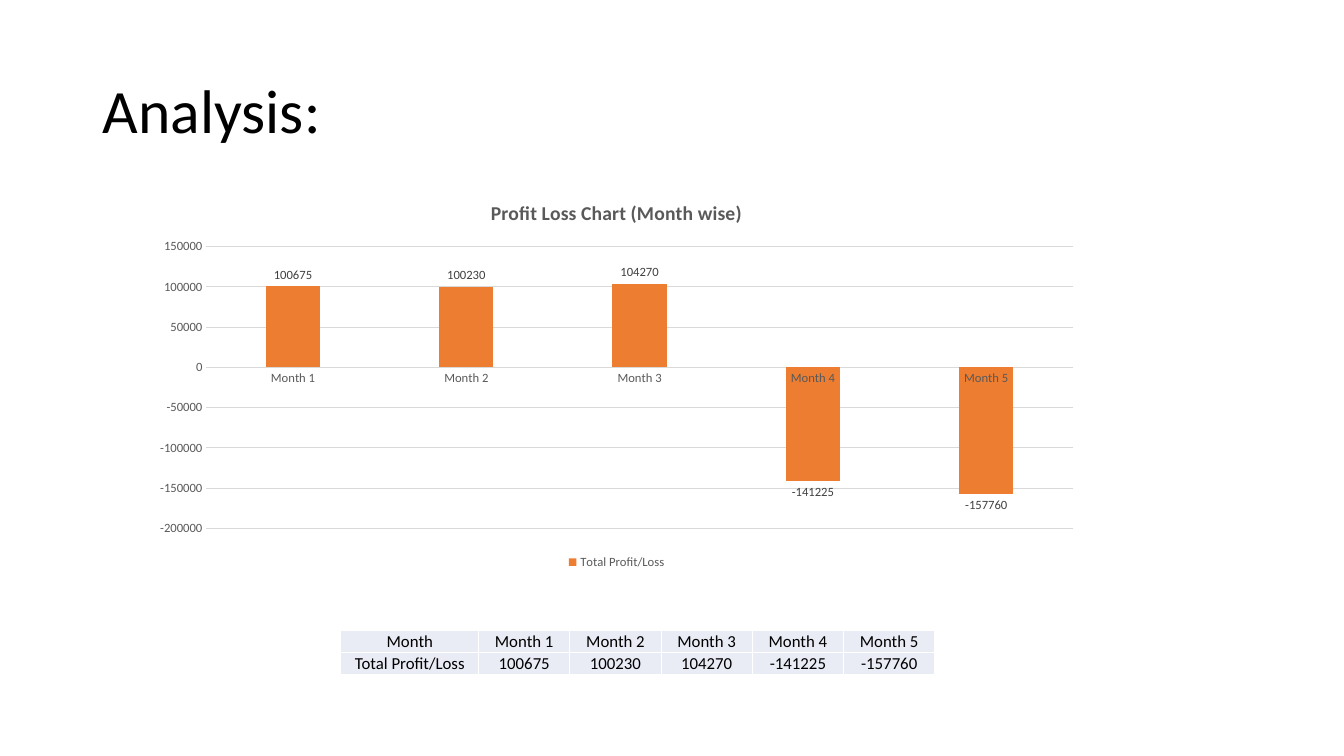
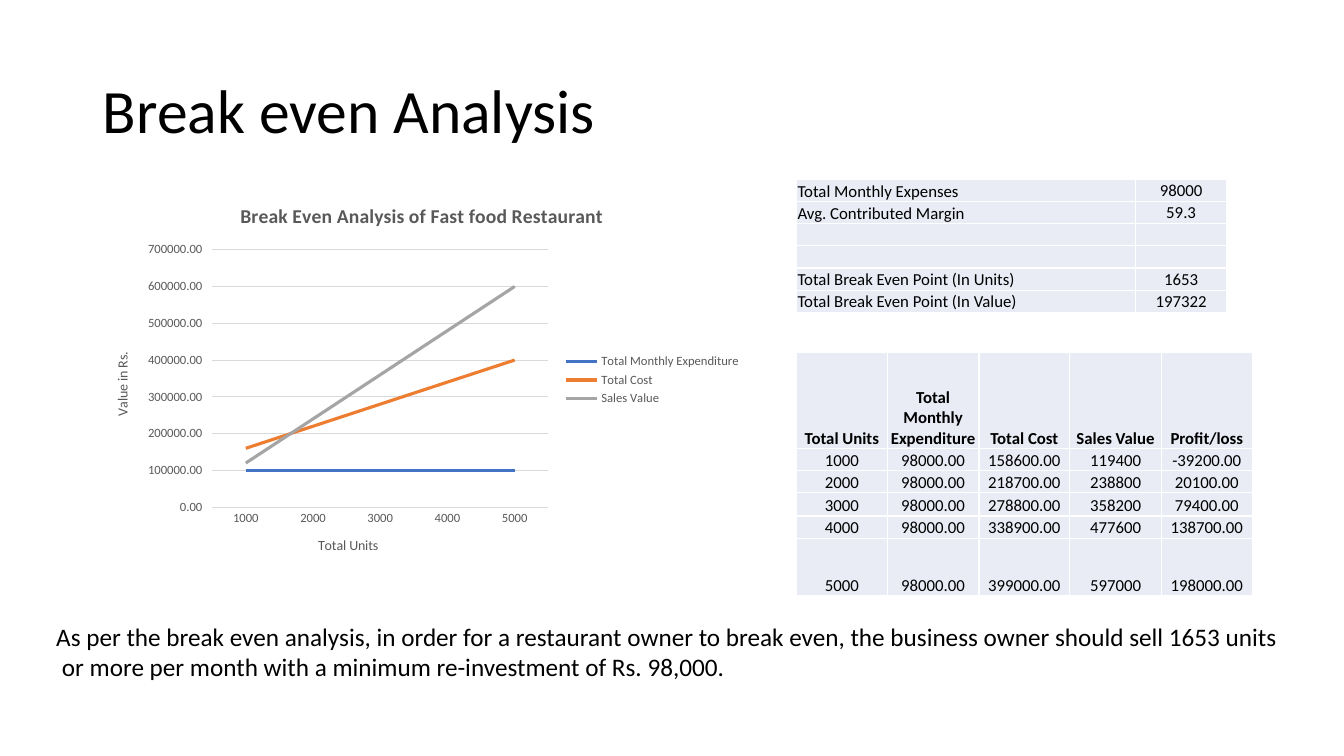
from dataclasses import dataclass, field
from typing import Any, NamedTuple

from lxml.etree import SubElement
from pptx import Presentation
from pptx.chart.data import CategoryChartData
from pptx.dml.color import RGBColor
from pptx.enum.chart import XL_CHART_TYPE, XL_LABEL_POSITION, XL_LEGEND_POSITION, XL_TICK_MARK
from pptx.enum.text import MSO_ANCHOR, MSO_AUTO_SIZE, PP_ALIGN
from pptx.oxml.ns import qn
from pptx.util import Emu, Pt

EMU_PER_PX = 9144


@dataclass(frozen=True)
class Theme:
    font: str = "Calibri"
    ink: str = "000000"
    muted: str = "595959"
    label: str = "404040"
    grid: str = "D9D9D9"
    cell: str = "E9EBF5"
    border: str = "FFFFFF"
    blue: str = "4472C4"
    orange: str = "ED7D31"
    gray: str = "A5A5A5"
    title_size: int = 44
    body_size: int = 18
    chart_title_size: int = 14
    table_size: int = 12
    axis_title_size: int = 10
    chart_size: int = 9


THEME = Theme()


class Box(NamedTuple):
    left: int
    top: int
    width: int
    height: int

    def emu(self) -> list[Emu]:
        return [px(length) for length in self]


class Series(NamedTuple):
    name: str
    values: list[float]
    color: str


@dataclass(frozen=True)
class ChartBlock:
    kind: XL_CHART_TYPE
    box: Box
    title: str
    categories: list[str]
    series: list[Series]
    legend: XL_LEGEND_POSITION
    scale: dict[str, int]
    number_format: str = "General"
    axis_titles: tuple[str, str] | None = None


@dataclass(frozen=True)
class TableBlock:
    left: int
    top: int
    columns: list[int]
    heights: list[int]
    rows: list[list[str]]
    bold_header: bool = False
    column_formats: dict[int, tuple[PP_ALIGN, MSO_ANCHOR]] = field(default_factory=dict)


def px(length: int) -> Emu:
    return Emu(length * EMU_PER_PX)


def spread(total: int, count: int) -> list[int]:
    edges = [round(total * index / count) for index in range(count + 1)]
    return [end - start for start, end in zip(edges, edges[1:])]


def apply(target: Any, values: dict[str, Any]) -> None:
    for name, value in values.items():
        setattr(target, name, value)


def style_font(font: Any, size: int, color: str, bold: bool = False) -> None:
    apply(font, {"name": THEME.font, "size": Pt(size), "bold": bold})
    font.color.rgb = RGBColor.from_string(color)


def paint(fill: Any, color: str) -> None:
    fill.solid()
    fill.fore_color.rgb = RGBColor.from_string(color)


def stroke(line: Any, color: str, width: float) -> None:
    paint(line.fill, color)
    line.width = Pt(width)


def add_title_page(deck: Any, title: str) -> Any:
    page = deck.slides.add_slide(deck.slide_layouts[5])
    shape = page.shapes.title
    apply(shape, dict(zip(("left", "top", "width", "height"), Box(92, 40, 1150, 145).emu())))
    frame = shape.text_frame
    frame.text = title
    apply(frame, {"vertical_anchor": MSO_ANCHOR.MIDDLE, "word_wrap": True, "auto_size": MSO_AUTO_SIZE.NONE})
    para = frame.paragraphs[0]
    apply(para, {"alignment": PP_ALIGN.LEFT, "line_spacing": 0.9})
    style_font(para.runs[0].font, THEME.title_size, THEME.ink)
    return page


def add_note(page: Any, box: Box, lines: list[str]) -> None:
    frame = page.shapes.add_textbox(*box.emu()).text_frame
    apply(frame, {"word_wrap": False, "auto_size": MSO_AUTO_SIZE.SHAPE_TO_FIT_TEXT})
    for index, line in enumerate(lines):
        para = frame.add_paragraph() if index else frame.paragraphs[0]
        span = para.add_run()
        span.text = line
        style_font(span.font, THEME.body_size, THEME.ink)


def add_cell_borders(cell: Any) -> None:
    properties = cell._tc.get_or_add_tcPr()
    for side in ("lnL", "lnR", "lnT", "lnB"):
        line = SubElement(properties, qn(f"a:{side}"), w=str(Pt(1)))
        fill = SubElement(line, qn("a:solidFill"))
        SubElement(fill, qn("a:srgbClr"), val=THEME.border)


def fill_cell(cell: Any, text: str, alignment: PP_ALIGN, anchor: MSO_ANCHOR, bold: bool) -> None:
    apply(cell, {"margin_left": px(1), "margin_right": px(1), "margin_top": px(1),
                 "margin_bottom": 0, "vertical_anchor": anchor})
    add_cell_borders(cell)
    paint(cell.fill, THEME.cell)
    para = cell.text_frame.paragraphs[0]
    para.alignment = alignment
    if text:
        span = para.add_run()
        span.text = text
        style_font(span.font, THEME.table_size, THEME.ink, bold)
    else:
        SubElement(para._p, qn("a:endParaRPr"), sz=str(THEME.table_size * 100))


def add_table(page: Any, block: TableBlock) -> None:
    box = Box(block.left, block.top, sum(block.columns), sum(block.heights))
    table = page.shapes.add_table(len(block.rows), len(block.columns), *box.emu()).table
    apply(table, {"first_row": False, "horz_banding": False})
    for column, width in zip(table.columns, block.columns):
        column.width = px(width)
    for row, height in zip(table.rows, block.heights):
        row.height = px(height)
    for row_index, texts in enumerate(block.rows):
        for column_index, text in enumerate(texts):
            alignment, anchor = block.column_formats.get(column_index, (PP_ALIGN.CENTER, MSO_ANCHOR.BOTTOM))
            bold = block.bold_header and row_index == 0
            fill_cell(table.cell(row_index, column_index), text, alignment, anchor, bold)


def set_title(frame: Any, text: str, size: int, bold: bool = False) -> None:
    frame.text = text
    style_font(frame.paragraphs[0].runs[0].font, size, THEME.muted, bold)


def add_chart(page: Any, block: ChartBlock) -> Any:
    data = CategoryChartData(number_format=block.number_format)
    data.categories = block.categories
    for series in block.series:
        data.add_series(series.name, series.values)
    chart = page.shapes.add_chart(block.kind, *block.box.emu(), data).chart
    style_font(chart.font, THEME.axis_title_size, THEME.ink)
    apply(chart, {"has_title": True, "has_legend": True})
    set_title(chart.chart_title.text_frame, block.title, THEME.chart_title_size, True)
    chart.chart_title.include_in_layout = False
    apply(chart.legend, {"position": block.legend, "include_in_layout": False})
    style_font(chart.legend.font, THEME.chart_size, THEME.muted)
    chart.plots[0].vary_by_categories = False

    category_axis, value_axis = chart.category_axis, chart.value_axis
    for axis in (category_axis, value_axis):
        apply(axis, {"major_tick_mark": XL_TICK_MARK.NONE, "minor_tick_mark": XL_TICK_MARK.NONE})
        style_font(axis.tick_labels.font, THEME.chart_size, THEME.muted)
    category_axis.has_major_gridlines = False
    stroke(category_axis.format.line, THEME.grid, 0.75)
    apply(value_axis, {"has_major_gridlines": True, **block.scale})
    value_axis.format.line.fill.background()
    stroke(value_axis.major_gridlines.format.line, THEME.grid, 0.75)
    apply(value_axis.tick_labels, {"number_format": block.number_format, "number_format_is_linked": False})
    if block.axis_titles:
        for axis, text in zip((category_axis, value_axis), block.axis_titles):
            set_title(axis.axis_title.text_frame, text, THEME.axis_title_size)
        body = value_axis.axis_title.text_frame._txBody.find(qn("a:bodyPr"))
        body.set("rot", "-5400000")
        body.set("vert", "horz")
    return chart


def add_profit_chart(page: Any, block: ChartBlock) -> None:
    chart = add_chart(page, block)
    plot = chart.plots[0]
    apply(plot, {"gap_width": 219, "overlap": -27, "has_data_labels": True})
    apply(plot.data_labels, {"show_value": True, "position": XL_LABEL_POSITION.OUTSIDE_END})
    style_font(plot.data_labels.font, THEME.chart_size, THEME.label)
    for bars, series in zip(plot.series, block.series):
        bars.invert_if_negative = False
        paint(bars.format.fill, series.color)


def add_break_even_chart(page: Any, block: ChartBlock) -> None:
    chart = add_chart(page, block)
    chart.value_axis.major_tick_mark = XL_TICK_MARK.OUTSIDE
    for curve, series in zip(chart.plots[0].series, block.series):
        curve.smooth = False
        stroke(curve.format.line, series.color, 2.25)


def build_profit_page(deck: Any) -> None:
    page = add_title_page(deck, "Analysis:")
    months = [f"Month {number}" for number in range(1, 6)]
    profits = [100675, 100230, 104270, -141225, -157760]
    name = "Total Profit/Loss"
    add_profit_chart(page, ChartBlock(
        XL_CHART_TYPE.COLUMN_CLUSTERED, Box(140, 181, 943, 388), "Profit Loss Chart (Month wise)",
        months, [Series(name, profits, THEME.orange)], XL_LEGEND_POSITION.BOTTOM,
        {"minimum_scale": -200000, "maximum_scale": 150000, "major_unit": 50000},
    ))
    add_table(page, TableBlock(338, 625, [137, *spread(452, 5)], [22] * 2, [
        ["Month", *months],
        [name, *map(str, profits)],
    ]))


def build_break_even_page(deck: Any) -> None:
    page = add_title_page(deck, "Break even Analysis")
    header = ["Total Units", "Total Monthly Expenditure", "Total Cost", "Sales Value", "Profit/loss"]
    rows = [
        ["1000", "98000.00", "158600.00", "119400", "-39200.00"],
        ["2000", "98000.00", "218700.00", "238800", "20100.00"],
        ["3000", "98000.00", "278800.00", "358200", "79400.00"],
        ["4000", "98000.00", "338900.00", "477600", "138700.00"],
        ["5000", "98000.00", "399000.00", "597000", "198000.00"],
    ]
    colors = (THEME.blue, THEME.orange, THEME.gray)
    series = [Series(header[column], [round(float(row[column]), -4) for row in rows], color)
              for column, color in enumerate(colors, start=1)]
    add_note(page, Box(46, 611, 1237, 71), [
        "As per the break even analysis, in order for a restaurant owner to break even, "
        "the business owner should sell 1653 units",
        " or more per month with a minimum re-investment of Rs. 98,000.",
    ])
    add_break_even_chart(page, ChartBlock(
        XL_CHART_TYPE.LINE, Box(92, 184, 653, 386), "Break Even Analysis of Fast food Restaurant",
        [row[0] for row in rows], series, XL_LEGEND_POSITION.RIGHT,
        {"minimum_scale": 0, "maximum_scale": 700000, "major_unit": 100000},
        "0.00", (header[0], "Value in Rs."),
    ))
    add_table(page, TableBlock(790, 178, [336, 91], [22] * 6, [
        ["Total Monthly Expenses", "98000"],
        ["Avg. Contributed Margin", "59.3"],
        ["", ""],
        ["", ""],
        ["Total Break Even Point (In Units)", "1653"],
        ["Total Break Even Point (In Value)", "197322"],
    ], column_formats={0: (PP_ALIGN.LEFT, MSO_ANCHOR.BOTTOM), 1: (PP_ALIGN.CENTER, MSO_ANCHOR.MIDDLE)}))
    add_table(page, TableBlock(790, 350, spread(452, 5), [95, *spread(89, 4), 57], [header, *rows], bold_header=True))


def main() -> None:
    deck = Presentation()
    apply(deck, {"slide_width": px(1333), "slide_height": px(750)})
    build_profit_page(deck)
    build_break_even_page(deck)
    deck.save("out.pptx")


if __name__ == "__main__":
    main()
